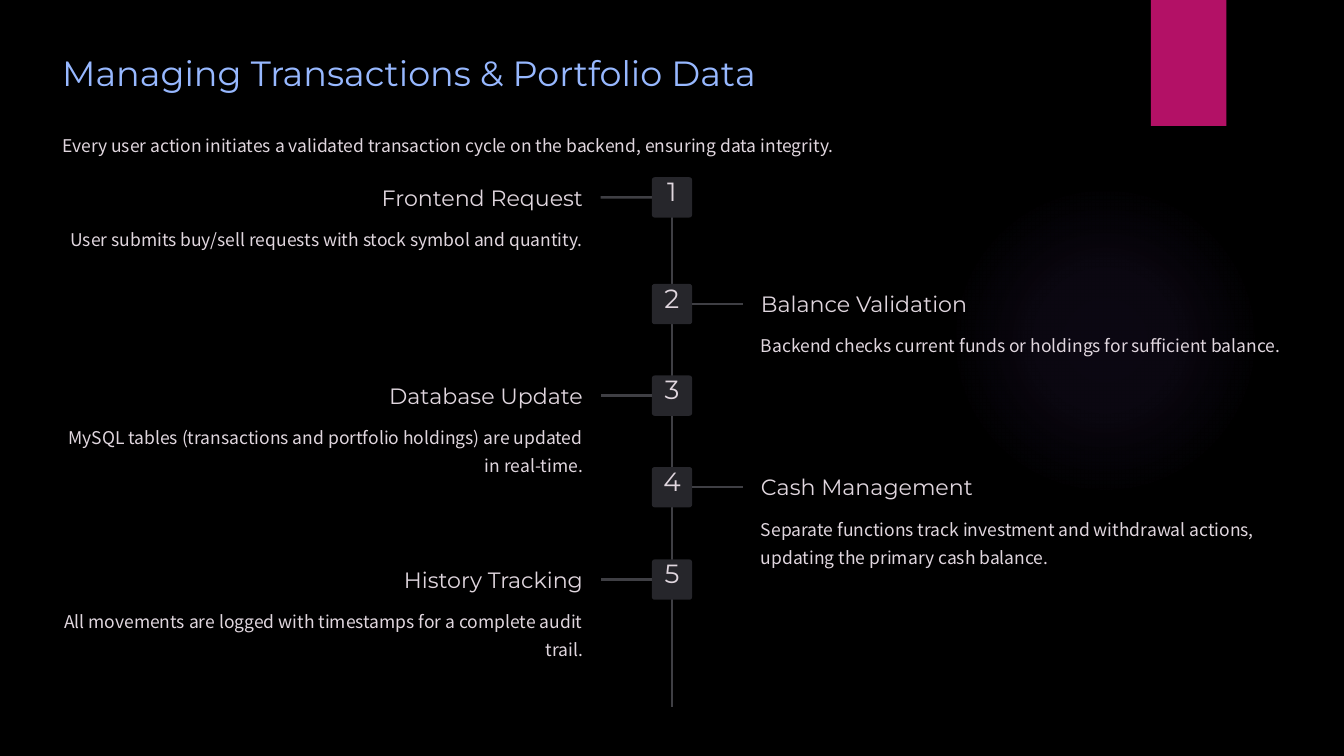
from dataclasses import dataclass

import pptx
import pptx.dml.color
import pptx.enum.shapes
import pptx.enum.text
import pptx.oxml
import pptx.oxml.ns
import pptx.util

Inches, Pt = pptx.util.Inches, pptx.util.Pt
RGB = pptx.dml.color.RGBColor.from_string
SHAPE = pptx.enum.shapes.MSO_SHAPE
ALIGN = pptx.enum.text.PP_ALIGN


@dataclass(frozen=True)
class Theme:
    background: str = "000000"
    ribbon: str = "B31166"
    glow: str = "9B6BF2"
    title: str = "97B8FF"
    text: str = "E0D6DE"
    line: str = "3F3F44"
    badge: str = "26262B"
    heading_font: str = "Montserrat"
    body_font: str = "Noto Sans CJK TC"
    # (type size, line spacing) in points
    title_size: tuple = (30, 38)
    number_size: tuple = (22.5, 22.5)
    heading_size: tuple = (19, 23.5)
    body_size: tuple = (15, 24)


theme = Theme()


def write(shape, text, font, size, color=theme.text, align=ALIGN.LEFT, top=0):
    """Fill a shape with one top-anchored paragraph, with no inset but the top one."""
    frame = shape.text_frame
    frame.word_wrap = True
    frame.vertical_anchor = pptx.enum.text.MSO_ANCHOR.TOP
    frame.margin_left = frame.margin_right = frame.margin_bottom = 0
    frame.margin_top = Inches(top)
    paragraph = frame.paragraphs[0]
    paragraph.text = text
    paragraph.alignment = align
    paragraph.line_spacing = Pt(size[1])
    paragraph.font.name = font
    paragraph.font.size = Pt(size[0])
    paragraph.font.color.rgb = RGB(color)


def add_line(x1, y1, x2, y2):
    line = slide.shapes.add_connector(
        pptx.enum.shapes.MSO_CONNECTOR.STRAIGHT,
        Inches(x1), Inches(y1), Inches(x2), Inches(y2))
    line.line.color.rgb = RGB(theme.line)
    line.line.width = Pt(2)
    line._element.spPr.append(pptx.oxml.parse_xml(
        f'<a:effectLst {pptx.oxml.ns.nsdecls("a")}/>'))
    return line


deck = pptx.Presentation()
deck.slide_width, deck.slide_height = Inches(16), Inches(9)
slide = deck.slides.add_slide(deck.slide_layouts[6])
slide.background.fill.solid()
slide.background.fill.fore_color.rgb = RGB(theme.background)

# Soft glow and ribbon
glow = slide.shapes.add_shape(
    SHAPE.OVAL, Inches(11.3), Inches(2.2), Inches(3.7), Inches(3.7))
glow.shadow.inherit = False
glow.line.fill.background()
stops = "".join(
    f'<a:gs pos="{position * 1000}"><a:srgbClr val="{theme.glow}">'
    f'<a:alpha val="{opacity * 1000}"/></a:srgbClr></a:gs>'
    for position, opacity in ((0, 7), (36, 6), (69, 0)))
glow._element.spPr.find(pptx.oxml.ns.qn("a:prstGeom")).addnext(pptx.oxml.parse_xml(
    f'<a:gradFill {pptx.oxml.ns.nsdecls("a")}><a:gsLst>{stops}</a:gsLst>'
    '<a:path path="circle"><a:fillToRect l="50000" t="50000" r="50000" b="50000"/>'
    '</a:path></a:gradFill>'))

ribbon = slide.shapes.add_shape(
    SHAPE.RECTANGLE, Inches(13.7), Inches(0), Inches(0.9), Inches(1.5))
ribbon.shadow.inherit = False
ribbon.fill.solid()
ribbon.fill.fore_color.rgb = RGB(theme.ribbon)
ribbon.line.fill.background()

# Title and introduction
title = slide.shapes.add_textbox(Inches(0.74), Inches(0.58), Inches(8.49), Inches(0.53))
write(title, "Managing Transactions & Portfolio Data",
      theme.heading_font, theme.title_size, theme.title)
intro = slide.shapes.add_textbox(Inches(0.74), Inches(1.53), Inches(14.52), Inches(0.34))
write(intro, "Every user action initiates a validated transaction cycle on the backend, "
      "ensuring data integrity.", theme.body_font, theme.body_size)

# Timeline: (top, heading, description), alternating left and right of the rail
steps = [
    (2.11, "Frontend Request",
     "User submits buy/sell requests with stock symbol and quantity."),
    (3.38, "Balance Validation",
     "Backend checks current funds or holdings for sufficient balance."),
    (4.47, "Database Update",
     "MySQL tables (transactions and portfolio holdings) are updated in real-time."),
    (5.56, "Cash Management",
     "Separate functions track investment and withdrawal actions, "
     "updating the primary cash balance."),
    (6.66, "History Tracking",
     "All movements are logged with timestamps for a complete audit trail."),
]
rail_x, badge_size, branch_end = 8, 0.48, 0.85
heading_width, body_width, text_gap = 2.64, 6.2, 1.06

add_line(rail_x, steps[0][0], rail_x, 8.42)

for number, (top, heading, description) in enumerate(steps, start=1):
    on_left = number % 2 == 1
    side = -1 if on_left else 1
    align = ALIGN.RIGHT if on_left else ALIGN.LEFT

    badge = slide.shapes.add_shape(
        SHAPE.ROUNDED_RECTANGLE, Inches(rail_x - badge_size / 2), Inches(top),
        Inches(badge_size), Inches(badge_size))
    badge.adjustments[0] = 0.07
    badge.shadow.inherit = False
    badge.fill.solid()
    badge.fill.fore_color.rgb = RGB(theme.badge)
    badge.line.fill.background()
    write(badge, str(number), theme.heading_font, theme.number_size,
          align=ALIGN.CENTER, top=0.03)

    middle = top + badge_size / 2
    branch = add_line(rail_x + side * badge_size / 2, middle,
                      rail_x + side * branch_end, middle)
    branch.begin_connect(badge, 1 if on_left else 3)

    for text, offset, width, height, font, size in (
            (heading, 0.07, heading_width, 0.33, theme.heading_font, theme.heading_size),
            (description, 0.53, body_width, 0.68, theme.body_font, theme.body_size)):
        left = rail_x - text_gap - width if on_left else rail_x + text_gap
        box = slide.shapes.add_textbox(
            Inches(left), Inches(top + offset), Inches(width), Inches(height))
        write(box, text, font, size, align=align)

deck.save("out.pptx")
